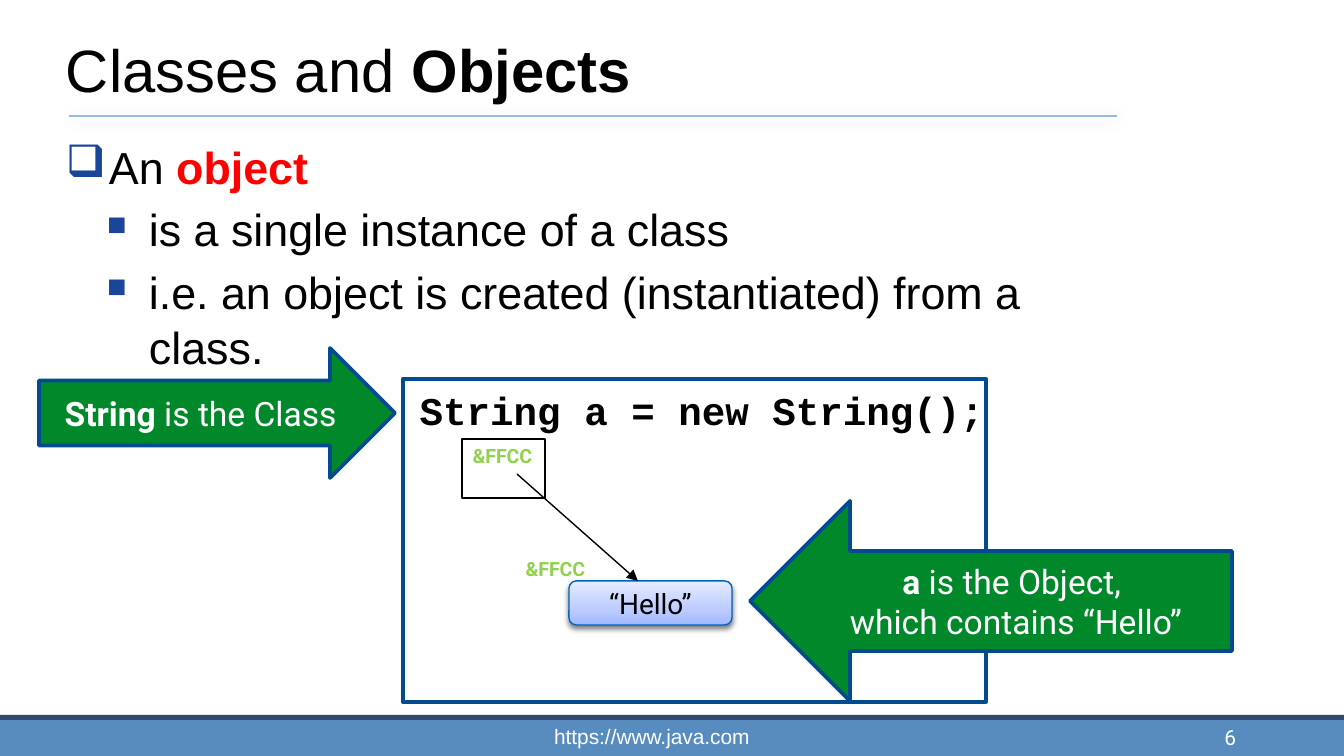
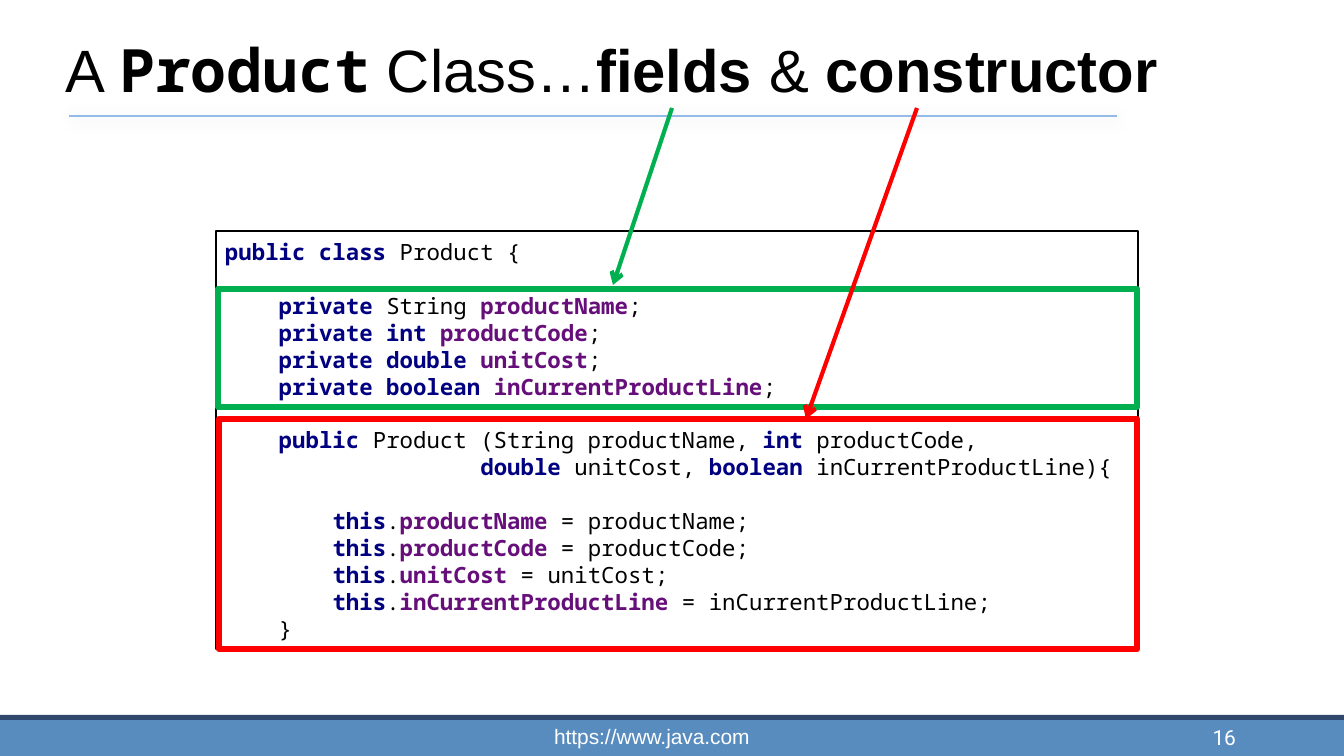
from copy import deepcopy

from lxml import etree
from pptx import Presentation
from pptx.dml.color import RGBColor
from pptx.enum.shapes import MSO_CONNECTOR, MSO_SHAPE
from pptx.enum.text import MSO_ANCHOR, PP_ALIGN
from pptx.oxml.ns import qn
from pptx.util import Emu, Pt

RECT, ROUNDED = MSO_SHAPE.RECTANGLE, MSO_SHAPE.ROUNDED_RECTANGLE
RIGHT_ARROW, LEFT_ARROW = MSO_SHAPE.RIGHT_ARROW, MSO_SHAPE.LEFT_ARROW
STRAIGHT = MSO_CONNECTOR.STRAIGHT
TOP, MIDDLE, BOTTOM = MSO_ANCHOR.TOP, MSO_ANCHOR.MIDDLE, MSO_ANCHOR.BOTTOM
LEFT, CENTER, RIGHT = PP_ALIGN.LEFT, PP_ALIGN.CENTER, PP_ALIGN.RIGHT

WIDTH, HEIGHT = 1344, 756
EMU_PER_PX = 914400 / 134.4


class Theme:
    black, white, red, green = "000000", "FFFFFF", "FF0000", "00B050"
    band, strip, rule, bullet = "598CBE", "2F486B", "94BBE7", "194699"
    arrow, outline, object_line = "00882B", "024B8E", "0063BF"
    object_stops = ((0, "A0B8FF"), (0.35, "BCCCFF"), (1, "E5EBFF"))
    # colour, opacity %, blur pt, distance pt, direction in degrees
    rule_shadow = ("003D62", 20, 8, 1, 45)
    object_shadow = ("000000", 50, 3, 2, 90)
    # font, size, colour
    title = ("Arial", 32, black)
    body = ("Arial", 24, black)
    statement = ("Courier New", 21, black)
    callout = ("Roboto", 18, white)
    value = ("Roboto", 15, black)
    address = ("Roboto", 10.5, "92D050")
    listing = ("Noto Sans Mono", 12, black)
    footer = ("Arial", 11.2, white)
    number = ("Roboto", 11.2, white)
    # run changes: "*...*" is bold, "*~...*" takes the box's accent instead
    title_mono = ("Noto Sans Mono", black)
    body_accent = ("Arial", red)
    keyword = ("Noto Sans Mono", "000080")
    field = ("Noto Sans Mono", "660E7A")


# Content
FOOTER = "https://www.java.com"

OBJECTS = {
    "title": "Classes and *Objects*",
    "number": "6",
    "points": [
        (0, "An *~object*"),
        (1, "is a single instance of a class"),
        (1, "i.e. an object is created (instantiated) from a class."),
    ],
    "statement": "*String a = new String();*",
    "class_note": "*String* is the Class",
    "object_note": "*a* is the Object, \nwhich contains “Hello”",
    "value": "“Hello”",
    "address": "*&FFCC*",
}

PRODUCT = {
    "title": "A *~Product* Class…*fields* & *constructor*",
    "number": "16",
    "code": """*public class *Product {

    *private *String *~productName*;
    *private int **~productCode*;
    *private double **~unitCost*;
    *private boolean **~inCurrentProductLine*;

    *public *Product (String productName, *int *productCode,
                   *double *unitCost, *boolean *inCurrentProductLine){

        *this*.*~productName *= productName;
        *this*.*~productCode *= productCode;
        *this*.*~unitCost *= unitCost;
        *this*.*~inCurrentProductLine *= inCurrentProductLine;
    }""",
    # colour, frame, arrow start, arrow end
    "parts": [
        (Theme.green, (218, 289, 919, 118), (672, 108), (613, 285)),
        (Theme.red, (219, 419, 918, 230), (917, 108), (806, 419)),
    ],
}

# Bullet levels: left margin, hanging indent, character, size %
LEVELS = [(43, 43, "❑", 100), (83, 42, "■", 60)]


def px(value):
    return Emu(round(value * EMU_PER_PX))


def rgb(value):
    return RGBColor.from_string(value)


def add_child(parent, tag, **attributes):
    return etree.SubElement(parent, qn("a:" + tag),
                            {key: str(val) for key, val in attributes.items()})


def set_shadow(item, shadow=None):
    properties = item._element.spPr
    effects = properties.find(qn("a:effectLst"))
    if effects is None:
        effects = add_child(properties, "effectLst")
    if shadow:
        color, opacity, blur, distance, direction = shadow
        outer = add_child(effects, "outerShdw", blurRad=Pt(blur), dist=Pt(distance),
                          dir=direction * 60000, rotWithShape=0)
        add_child(add_child(outer, "srgbClr", val=color), "alpha", val=opacity * 1000)


def add_box(slide, box, kind=RECT, fill=None, line=None, weight=0.75):
    shape = slide.shapes.add_shape(kind, *map(px, box))
    shape.shadow.inherit = False
    if fill:
        shape.fill.solid()
        shape.fill.fore_color.rgb = rgb(fill)
    else:
        shape.fill.background()
    if line:
        shape.line.color.rgb = rgb(line)
        shape.line.width = Pt(weight)
    else:
        shape.line.fill.background()
    return shape


def add_line(slide, start, end, color, weight, tail=None, shadow=None):
    line = slide.shapes.add_connector(STRAIGHT, *map(px, start + end))
    line.line.color.rgb = rgb(color)
    line.line.width = Pt(weight)
    if tail:
        add_child(line.line._get_or_add_ln(), "tailEnd", type=tail)
    set_shadow(line, shadow)


def write_runs(paragraph, marked, style, strong=None, accent=None):
    font, size, color = style
    for index, part in enumerate(marked.split("*")):
        bold = index % 2 == 1
        face, ink = font, color
        if part.startswith("~"):
            part, (face, ink) = part[1:], accent
        elif bold and strong:
            face, ink = strong
        for row, text in enumerate(part.split("\n")):
            if row:
                paragraph.add_line_break()
            if text:
                run = paragraph.add_run()
                run.text = text
                run.font.name, run.font.size = face, Pt(size)
                run.font.bold = bold
                run.font.color.rgb = rgb(ink)
    # Line breaks take the type of the text before them
    for line_break in paragraph._p.findall(qn("a:br")):
        before = line_break.getprevious().find(qn("a:rPr"))
        line_break.insert(0, deepcopy(before))


def set_frame(shape, anchor, inset, wrap):
    frame = shape.text_frame
    frame.word_wrap = wrap
    frame.vertical_anchor = anchor
    across, down = map(px, inset)
    frame.margin_left = frame.margin_right = across
    frame.margin_top = frame.margin_bottom = down
    return frame


def write(shape, marked, style, align=CENTER, anchor=MIDDLE, inset=(13, 7),
          wrap=True, strong=None, accent=None):
    paragraph = set_frame(shape, anchor, inset, wrap).paragraphs[0]
    paragraph.alignment = align
    write_runs(paragraph, marked, style, strong, accent)
    return paragraph


def add_text(slide, box, marked, style, **layout):
    write(slide.shapes.add_textbox(*map(px, box)), marked, style, **layout)


def add_points(slide, box, points):
    frame = set_frame(slide.shapes.add_textbox(*map(px, box)), TOP, (8, 12), True)
    for index, (level, marked) in enumerate(points):
        paragraph = frame.add_paragraph() if index else frame.paragraphs[0]
        paragraph.level = level
        paragraph.line_spacing = 1.03
        if index:
            paragraph.space_before = Pt(3.8)
        margin, hang, char, percent = LEVELS[level]
        properties = paragraph._p.get_or_add_pPr()
        properties.set("marL", str(px(margin)))
        properties.set("indent", str(-px(hang)))
        add_child(add_child(properties, "buClr"), "srgbClr", val=Theme.bullet)
        add_child(properties, "buSzPct", val=percent * 1000)
        add_child(properties, "buChar", char=char)
        write_runs(paragraph, marked, Theme.body, accent=Theme.body_accent)


def start_slide(deck, content):
    """Bands, title rule, title and footer shared by all slides."""
    slide = deck.slides.add_slide(deck.slide_layouts[6])
    add_box(slide, (0, 720, WIDTH, 36), fill=Theme.band)
    add_box(slide, (0, 715, WIDTH, 5), fill=Theme.strip)
    add_line(slide, (69, 116), (1117, 116), Theme.rule, 1, shadow=Theme.rule_shadow)
    add_text(slide, (58, 0, 1142, 112), content["title"], Theme.title, align=LEFT,
             anchor=BOTTOM, inset=(8, 8), accent=Theme.title_mono)
    add_text(slide, (473, 719, 358, 35), FOOTER, Theme.footer,
             anchor=BOTTOM, inset=(11, 5))
    add_text(slide, (964, 716, 280, 42), content["number"], Theme.number,
             align=RIGHT, anchor=BOTTOM, inset=(8, 8))
    return slide


def add_object(slide, box, marked):
    target = add_box(slide, box, ROUNDED, line=Theme.object_line)
    target.adjustments[0] = 0.167
    target.fill.gradient()
    target.fill.gradient_angle = 90
    stop_list = target._element.spPr.find(".//" + qn("a:gsLst"))
    stop_list.insert(1, deepcopy(stop_list[0]))
    for stop, (position, color) in zip(target.fill.gradient_stops, Theme.object_stops):
        stop.position = position
        stop.color.rgb = rgb(color)
    set_shadow(target, Theme.object_shadow)
    write(target, marked, Theme.value, wrap=False)


def build_objects(deck):
    slide = start_slide(deck, OBJECTS)
    add_points(slide, (58, 126, 1059, 319), OBJECTS["points"])

    # Statement and the variable's memory cell
    add_box(slide, (403, 379, 583, 323), line=Theme.outline, weight=2)
    add_box(slide, (462, 439, 83, 59), line=Theme.black)
    add_text(slide, (403, 379, 598, 60), OBJECTS["statement"], Theme.statement,
             anchor=TOP)

    # Callouts and the object that the cell points to
    callouts = [
        (RIGHT_ARROW, (39, 348, 356, 130), "class_note"),
        (LEFT_ARROW, (750, 501, 482, 200), "object_note"),
    ]
    for kind, box, note in callouts:
        callout = add_box(slide, box, kind, Theme.arrow, Theme.outline, 2)
        write(callout, OBJECTS[note], Theme.callout)
    add_object(slide, (569, 581, 163, 44), OBJECTS["value"])
    add_line(slide, (517, 474), (638, 581), Theme.black, 0.75, tail="triangle")
    for left, top in ((456, 437), (509, 550)):
        add_text(slide, (left, top, 93, 38), OBJECTS["address"], Theme.address,
                 anchor=TOP, wrap=False)


def build_product(deck):
    slide = start_slide(deck, PRODUCT)
    listing = add_box(slide, (216, 231, 922, 418), fill=Theme.white, line=Theme.black)
    code = write(listing, PRODUCT["code"], Theme.listing, align=LEFT, inset=(9, 5),
                 strong=Theme.keyword, accent=Theme.field)
    code.line_spacing = Pt(14.4)

    # Frames around the parts, with arrows from the title
    for color, frame, start, end in PRODUCT["parts"]:
        add_box(slide, frame, line=color, weight=3.5)
        add_line(slide, start, end, color, 2.25, tail="arrow")


def main():
    deck = Presentation()
    deck.slide_width, deck.slide_height = px(WIDTH), px(HEIGHT)
    build_objects(deck)
    build_product(deck)
    deck.save("out.pptx")


if __name__ == "__main__":
    main()
